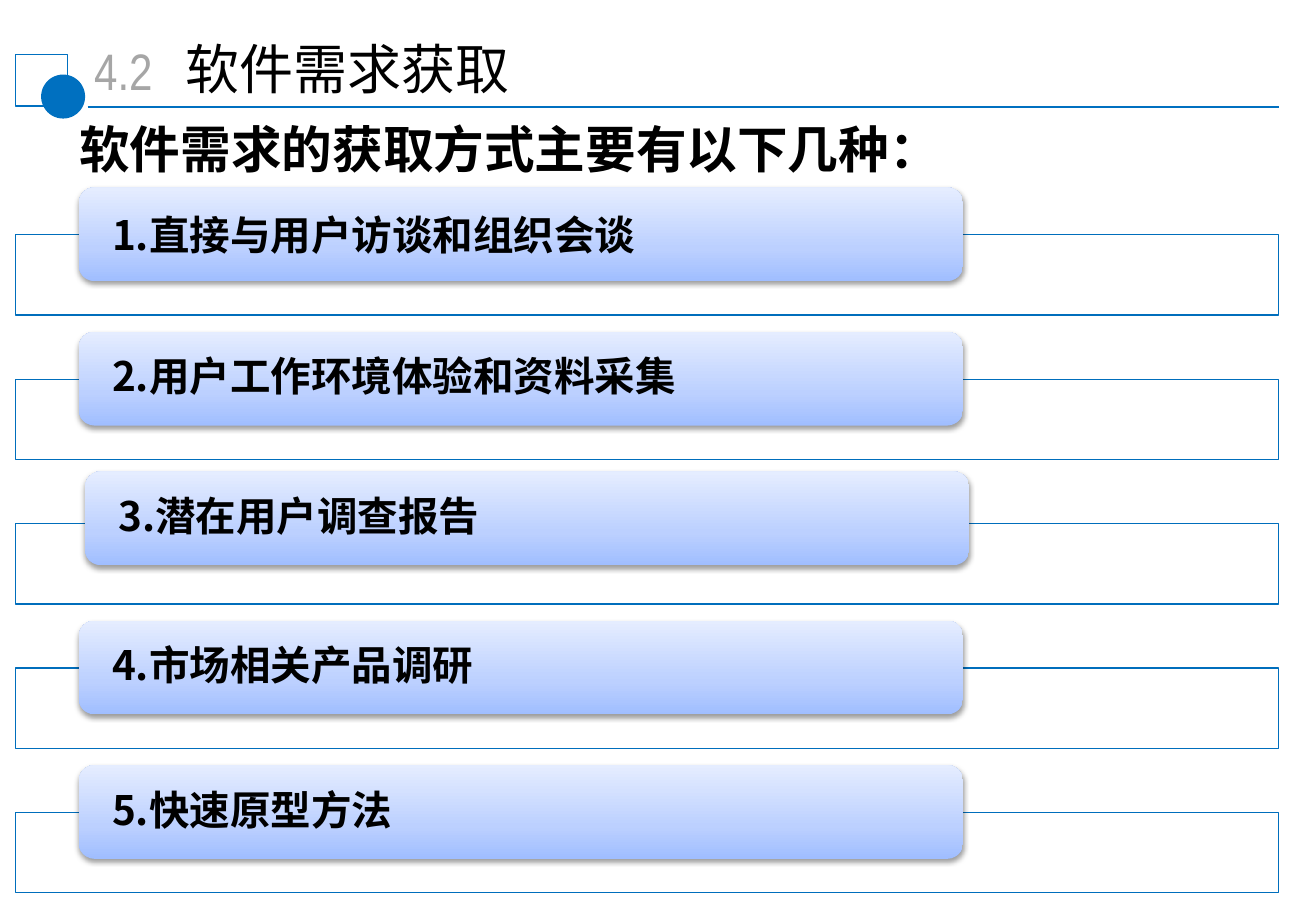
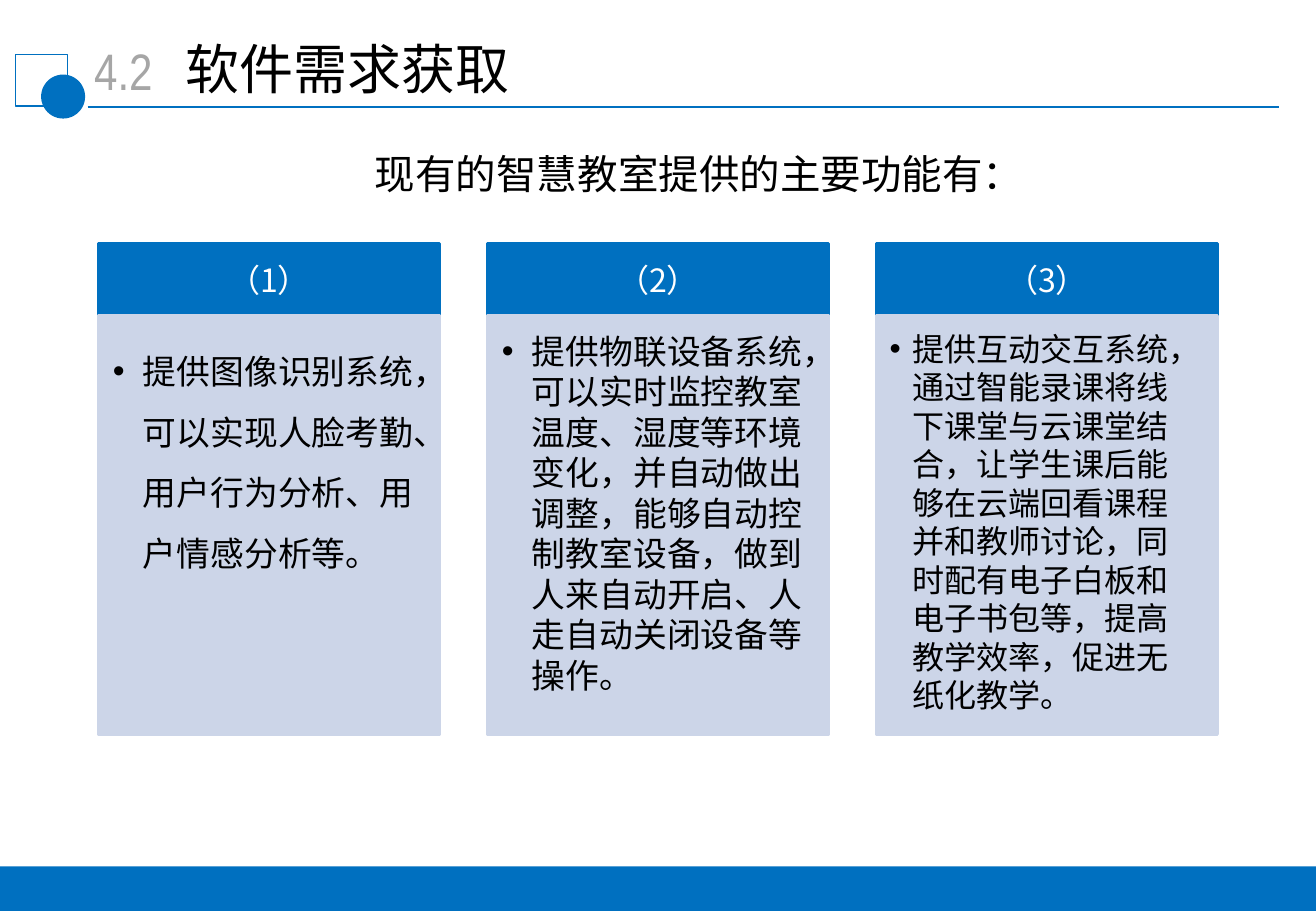
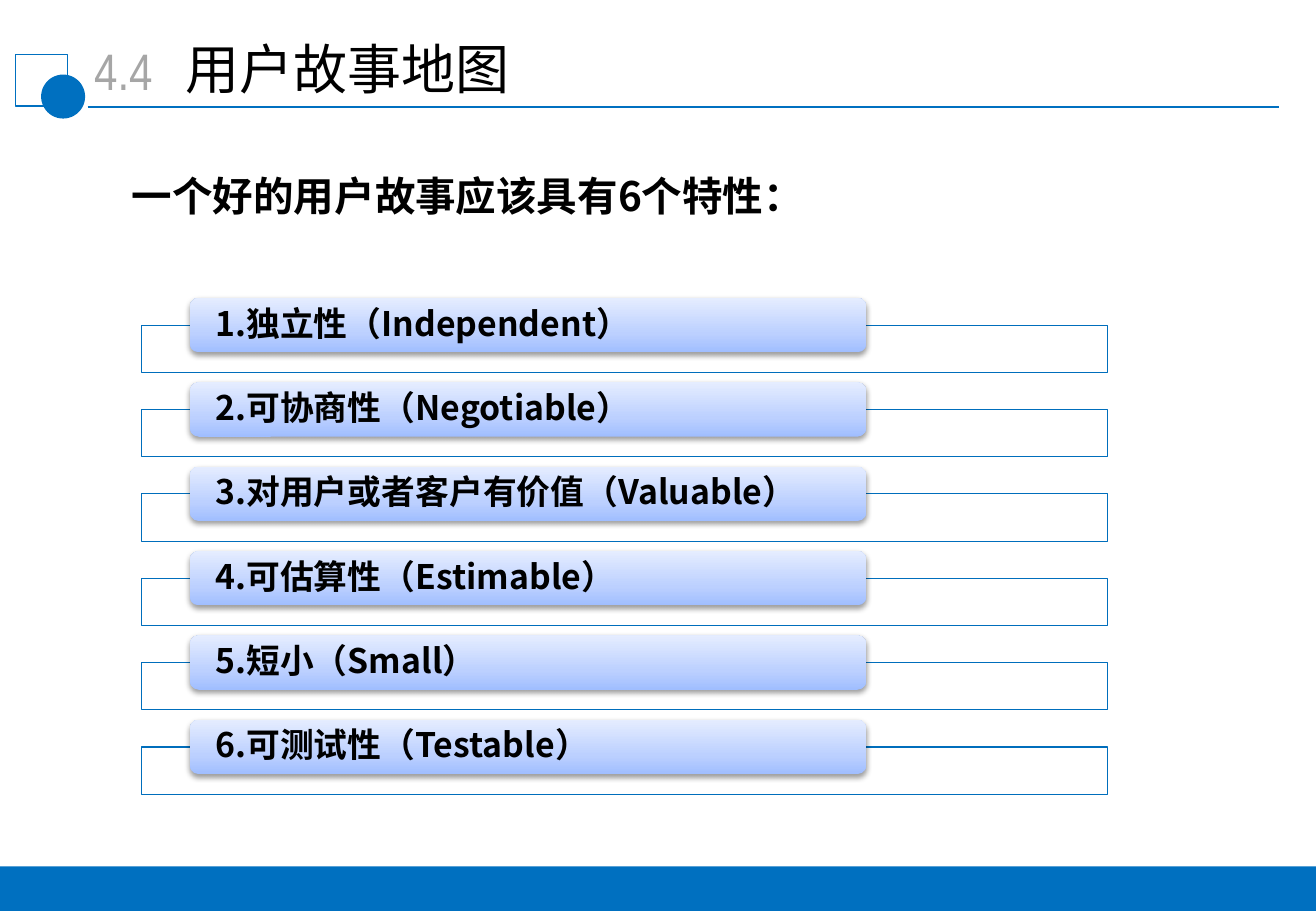
"""Build three slides on gathering software requirements and user stories."""
from dataclasses import dataclass

from lxml import etree
from pptx import Presentation
from pptx import util as u
from pptx.dml.color import RGBColor
from pptx.enum import shapes, text
from pptx.oxml.ns import qn


@dataclass(frozen=True)
class Theme:
    """Colours, fonts and type sizes of the deck."""
    blue: str = "0070C0"
    frame: str = "006EBC"
    card: str = "CCD5E8"
    grey: str = "A6A6A6"
    black: str = "000000"
    white: str = "FFFFFF"
    pill: tuple = ((0, "A0BEFF"), (35, "BCD0FF"), (100, "E5EDFF"))
    cjk: str = "Noto Sans CJK SC"
    latin: str = "Arial"
    narrow: str = "Arial Narrow"
    title: float = 32
    number: float = 30.4
    lead: float = 30
    heading: float = 24
    body: float = 20
    small: float = 19


T = Theme()
WIDTH, HEIGHT = 27.51, 19.05
BAND_TOP = 18.12
DEFAULT_INSETS = (0.25, 0.13, 0.25, 0.13)


def rgb(value):
    """Turn a hex string into a colour."""
    return RGBColor.from_string(value)


def add(parent, tag, **attrs):
    """Append a DrawingML element with attributes."""
    el = etree.SubElement(parent, qn(tag))
    for name, value in attrs.items():
        el.set(name, str(value))
    return el


def cm(*values):
    """Convert several centimetre values."""
    return [u.Cm(v) for v in values]


def write(tf, content, size=T.body, color=T.black, font=T.cjk, bold=False,
          align=text.PP_ALIGN.LEFT, anchor=text.MSO_ANCHOR.MIDDLE,
          insets=DEFAULT_INSETS, spacing=None, bullet=None):
    """Put one formatted paragraph in a text frame."""
    tf.word_wrap = True
    tf.auto_size = text.MSO_AUTO_SIZE.NONE
    tf.vertical_anchor = anchor
    (tf.margin_left, tf.margin_top,
     tf.margin_right, tf.margin_bottom) = cm(*insets)
    p = tf.paragraphs[0]
    p.alignment = align
    if spacing:
        p.line_spacing = spacing
    if bullet:
        pPr = p._p.get_or_add_pPr()
        pPr.set("marL", str(u.Cm(bullet)))
        pPr.set("indent", str(-u.Cm(bullet)))
        add(pPr, "a:buFont", typeface=T.latin)
        add(pPr, "a:buChar", char="•")
    r = p.add_run()
    r.text = content
    r.font.size = u.Pt(size)
    r.font.bold = bold
    r.font.color.rgb = rgb(color)
    r.font.name = font
    add(r._r.get_or_add_rPr(), "a:ea", typeface=T.cjk)


def add_text(s, box, content, **fmt):
    """Add a text box."""
    write(s.shapes.add_textbox(*cm(*box)).text_frame, content, **fmt)


def add_box(s, box, kind=shapes.MSO_SHAPE.RECTANGLE, fill=None, line=None,
            weight=0.75, alpha=None):
    """Add a flat preset shape; alpha is the opacity of its fill."""
    sp = s.shapes.add_shape(kind, *cm(*box))
    sp.shadow.inherit = False
    if fill:
        sp.fill.solid()
        sp.fill.fore_color.rgb = rgb(fill)
    else:
        sp.fill.background()
    if line:
        sp.line.color.rgb = rgb(line)
        sp.line.width = u.Pt(weight)
    else:
        sp.line.fill.background()
    if alpha:
        clr = sp.element.spPr.find(qn("a:solidFill")).find(qn("a:srgbClr"))
        add(clr, "a:alpha", val=alpha * 1000)
    return sp


def add_pill(s, box, content, **fmt):
    """Add a rounded bar with gradient, soft shadow and bold text."""
    sp = add_box(s, box, shapes.MSO_SHAPE.ROUNDED_RECTANGLE)
    sp.fill.gradient()
    sp.fill.gradient_angle = 90
    spPr = sp.element.spPr
    stops = spPr.find(qn("a:gradFill")).find(qn("a:gsLst"))
    for gs in list(stops):
        stops.remove(gs)
    for pos, color in T.pill:
        add(add(stops, "a:gs", pos=pos * 1000), "a:srgbClr", val=color)
    shadow = add(spPr.find(qn("a:effectLst")), "a:outerShdw",
                 blurRad=u.Pt(3.1), dist=u.Pt(1.6), dir=5400000, rotWithShape=0)
    add(add(shadow, "a:srgbClr", val=T.black), "a:alpha", val=38000)
    write(sp.text_frame, content, bold=True, **fmt)


def add_pill_list(s, items, pill, frame, drop, pitch, inset, size,
                  first_spacing=0.9, shifts=None):
    """Stack numbered pills, each over an outlined frame (left, width, height)."""
    left, top, width, height = pill
    frame_left, frame_width, frame_height = frame
    for i, item in enumerate(items):
        y = top + i * pitch
        dx, dy = (shifts or {}).get(i, (0, 0))
        add_box(s, (frame_left, y + drop, frame_width, frame_height),
                fill=T.white, line=T.frame, alpha=90)
        add_pill(s, (left + dx, y + dy, width, height), f"{i + 1}.{item}",
                 size=size, insets=(inset, 0, inset, 0),
                 spacing=0.9 if i else first_spacing)


def add_card(s, left, label, content, **fmt):
    """Add a column card with a header band and a bulleted body."""
    width = 7.13
    head = add_box(s, (left, 5.09, width, 1.52), fill=T.blue, line=T.blue, weight=2)
    write(head.text_frame, label, size=T.small, color=T.white,
          align=text.PP_ALIGN.CENTER)
    body = add_box(s, (left, 6.61, width, 8.74), fill=T.card, line=T.card, weight=2)
    write(body.text_frame, content, anchor=text.MSO_ANCHOR.TOP, **fmt)


def add_slide(prs, number, title, band=True):
    """Add a slide with the shared header and optional bottom band."""
    s = prs.slides.add_slide(prs.slide_layouts[5])
    rule = s.shapes.add_connector(shapes.MSO_CONNECTOR.STRAIGHT,
                                  *cm(1.83, 2.23, 26.73, 2.23))
    rule.line.color.rgb = rgb(T.blue)
    rule.line.width = u.Pt(1.25)
    add(rule.element.spPr, "a:effectLst")
    add_box(s, (0.33, 1.14, 1.09, 1.08), line=T.blue)
    add_box(s, (0.86, 1.56, 0.92, 0.92), shapes.MSO_SHAPE.OVAL, fill=T.blue)
    add_text(s, (1.31, 0.67, 2.54, 1.57), number, size=T.number, color=T.grey,
             font=T.narrow, align=text.PP_ALIGN.CENTER)
    sp = s.shapes.title
    sp.left, sp.top, sp.width, sp.height = cm(3.59, 0.59, 12.57, 1.65)
    write(sp.text_frame, title, size=T.title, font=T.latin,
          insets=(0.28, 0.13, 0.28, 0.13))
    if band:
        add_box(s, (0, BAND_TOP, WIDTH, HEIGHT - BAND_TOP), fill=T.blue)
    return s


def build_methods(prs):
    """Slide listing the ways to gather requirements."""
    s = add_slide(prs, "4.2", "软件需求获取", band=False)
    add_text(s, (1.41, 2.31, 18.11, 1.57), "软件需求的获取方式主要有以下几种：",
             size=T.lead, bold=True)
    items = ("直接与用户访谈和组织会谈", "用户工作环境体验和资料采集",
             "潜在用户调查报告", "市场相关产品调研", "快速原型方法")
    add_pill_list(s, items, pill=(1.65, 3.92, 18.48, 1.96),
                  frame=(0.33, 26.4, 1.68), drop=0.99, pitch=3.02,
                  inset=0.6, size=T.heading, first_spacing=1,
                  shifts={2: (0.13, -0.1)})


def build_features(prs):
    """Slide with three cards on the smart classroom."""
    s = add_slide(prs, "4.2", "软件需求获取")
    add_text(s, (7.59, 3, 13.41, 1.27), "现有的智慧教室提供的主要功能有：",
             size=T.heading, font=T.latin)
    regular = dict(size=T.body, bullet=0.63, insets=(0.3, 0.3, 0.41, 0.43))
    compact = dict(size=T.small, bullet=0.48, insets=(0.28, 0.28, 0.38, 0.43))
    cards = (
        ("提供图像识别系统，可以实现人脸考勤、用户行为分析、用户情感分析等。",
         1.5, regular),
        ("提供物联设备系统，可以实时监控教室温度、湿度等环境变化，并自动做出调整，"
         "能够自动控制教室设备，做到人来自动开启、人走自动关闭设备等操作。",
         1, regular),
        ("提供互动交互系统，通过智能录课将线下课堂与云课堂结合，让学生课后能够在"
         "云端回看课程并和教师讨论，同时配有电子白板和电子书包等，提高教学效率，"
         "促进无纸化教学。", 1, compact),
    )
    for i, (content, spacing, fmt) in enumerate(cards):
        add_card(s, 2.06 + i * 8.13, f"（{i + 1}）", content,
                 spacing=spacing, **fmt)


def build_story_traits(prs):
    """Slide listing six traits of a good user story."""
    s = add_slide(prs, "4.4", "用户故事地图")
    add_text(s, (2.51, 3.46, 20.45, 1.24), "一个好的用户故事应该具有6个特性：",
             size=T.heading, bold=True)
    items = ("独立性（Independent）", "可协商性（Negotiable）",
             "对用户或者客户有价值（Valuable）", "可估算性（Estimable）",
             "短小（Small）", "可测试性（Testable）")
    add_pill_list(s, items, pill=(3.97, 6.23, 14.14, 1.14),
                  frame=(2.96, 20.19, 0.99), drop=0.57, pitch=8.82 / 5,
                  inset=0.48, size=T.body)


def main():
    """Build and save the deck."""
    prs = Presentation()
    prs.slide_width, prs.slide_height = cm(WIDTH, HEIGHT)
    build_methods(prs)
    build_features(prs)
    build_story_traits(prs)
    prs.save("out.pptx")


if __name__ == "__main__":
    main()
